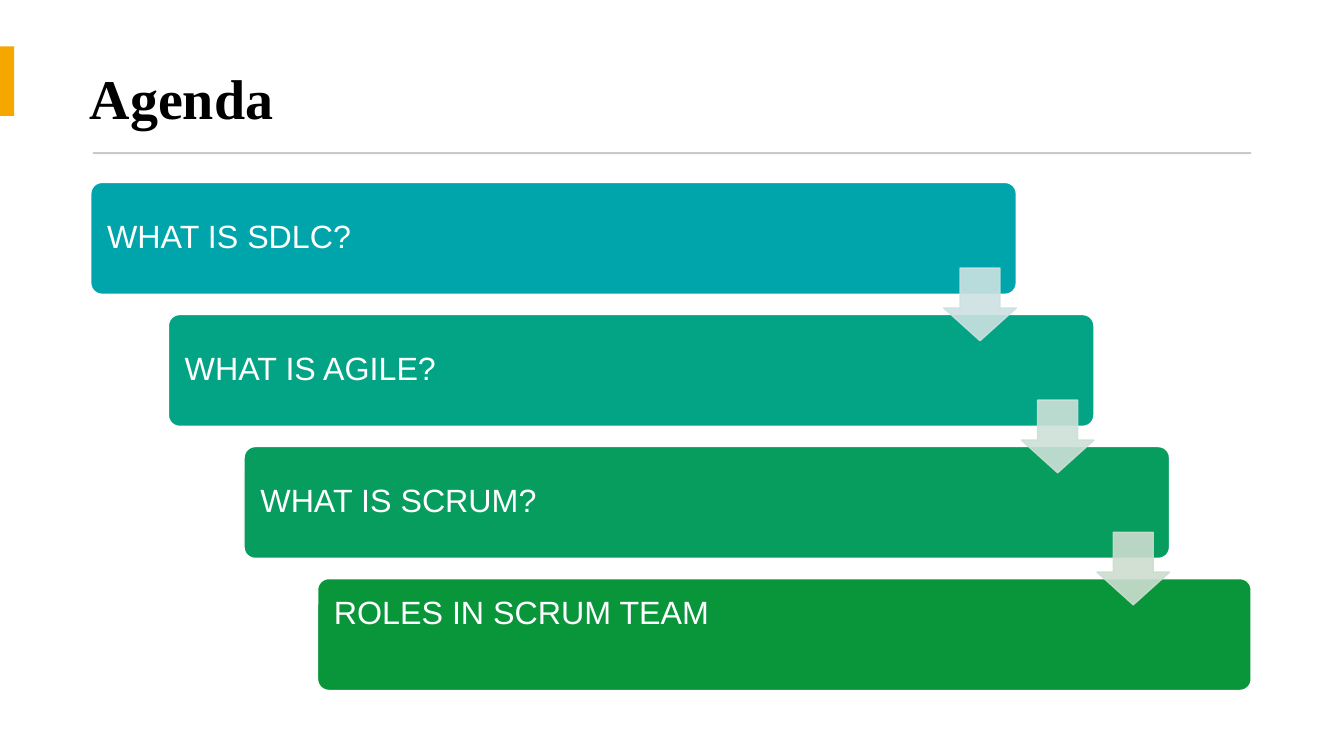
"""Build the Agenda slide: four stepped bars joined by down arrows."""
from dataclasses import dataclass

import lxml.etree
import pptx
import pptx.dml.color
import pptx.enum.shapes
import pptx.enum.text
import pptx.oxml.ns
import pptx.util

RGBColor = pptx.dml.color.RGBColor
Shapes = pptx.enum.shapes.MSO_SHAPE
Anchor = pptx.enum.text.MSO_ANCHOR
Align = pptx.enum.text.PP_ALIGN

EMU_PER_PX = 9144
WHITE = RGBColor(0xFF, 0xFF, 0xFF)
BLACK = RGBColor(0x00, 0x00, 0x00)
AMBER = RGBColor(0xF5, 0xA7, 0x00)
RULE_GREY = RGBColor(0xC9, 0xC9, 0xC9)
TEAL = RGBColor(0x00, 0xA5, 0xAB)
SEA_GREEN = RGBColor(0x03, 0xA4, 0x85)
EMERALD = RGBColor(0x06, 0x9D, 0x5E)
LEAF_GREEN = RGBColor(0x09, 0x96, 0x3B)
PALE_TEAL = RGBColor(0xCC, 0xE1, 0xE2)
PALE_SEA = RGBColor(0xCC, 0xE0, 0xD8)
PALE_LEAF = RGBColor(0xCC, 0xDD, 0xCF)

FIRST_TOP, STEP_PITCH, BAR_HEIGHT = 181, 131, 111
ARROW_SIZE, ARROW_RIGHT, ARROW_DOWN = 72, 846, 85


@dataclass(frozen=True)
class Step:
    label: str
    left: int
    width: int
    fill: RGBColor
    arrow: RGBColor | None = None
    anchor: Anchor = Anchor.MIDDLE


STEPS = [
    Step("WHAT IS SDLC?", 90, 918, TEAL, PALE_TEAL),
    Step("WHAT IS AGILE?", 167, 918, SEA_GREEN, PALE_SEA),
    Step("WHAT IS SCRUM?", 242, 918, EMERALD, PALE_LEAF),
    Step("ROLES IN SCRUM TEAM", 315, 926, LEAF_GREEN, anchor=Anchor.TOP),
]


def px(length: int) -> pptx.util.Emu:
    return pptx.util.Emu(length * EMU_PER_PX)


def add_block(page, kind: Shapes, left: int, top: int, width: int, height: int,
              fill: RGBColor, line: RGBColor | None = None):
    block = page.shapes.add_shape(kind, px(left), px(top), px(width), px(height))
    block.shadow.inherit = False
    block.fill.solid()
    block.fill.fore_color.rgb = fill
    if line is None:
        block.line.fill.background()
    else:
        block.line.color.rgb = line
        block.line.width = pptx.util.Pt(1)
    return block


def write_line(shape, text: str, font_name: str, size: int, color: RGBColor,
               bold: bool = False) -> None:
    para = shape.text_frame.paragraphs[0]
    para.text = text
    para.alignment = Align.LEFT
    para.line_spacing = 0.9
    para.font.name = font_name
    para.font.size = pptx.util.Pt(size)
    para.font.bold = bold
    para.font.color.rgb = color


def add_title(page) -> None:
    title = page.shapes.title
    title.left, title.top, title.width, title.height = map(px, (79, 46, 1149, 110))
    title.text_frame.vertical_anchor = Anchor.MIDDLE
    write_line(title, "Agenda", "Times New Roman", 40, BLACK, bold=True)


def add_bar(page, step: Step, top: int) -> None:
    bar = add_block(page, Shapes.ROUNDED_RECTANGLE, step.left, top, step.width,
                    BAR_HEIGHT, step.fill, WHITE)
    bar.adjustments[0] = 0.1
    frame = bar.text_frame
    frame.word_wrap = True
    frame.vertical_anchor = step.anchor
    frame.margin_left = frame.margin_right = px(13)
    frame.margin_top = frame.margin_bottom = px(15)
    write_line(bar, step.label, "Arial", 23, WHITE)


def add_arrow(page, step: Step, top: int) -> None:
    arrow = add_block(page, Shapes.DOWN_ARROW, step.left + ARROW_RIGHT, top + ARROW_DOWN,
                      ARROW_SIZE, ARROW_SIZE, step.arrow, step.arrow)
    arrow.adjustments[0] = 0.55
    arrow.adjustments[1] = 0.45
    qn = pptx.oxml.ns.qn
    for color in arrow.element.spPr.iter(qn("a:srgbClr")):
        lxml.etree.SubElement(color, qn("a:alpha"), val="90000")


def main() -> None:
    deck = pptx.Presentation()
    deck.slide_width, deck.slide_height = px(1333), px(750)
    page = deck.slides.add_slide(deck.slide_layouts[5])
    add_title(page)
    add_block(page, Shapes.RECTANGLE, 0, 46, 14, 69, AMBER)
    add_block(page, Shapes.RECTANGLE, 92, 151, 1149, 2, RULE_GREY)
    tops = [FIRST_TOP + index * STEP_PITCH for index in range(len(STEPS))]
    for step, top in zip(STEPS, tops):
        add_bar(page, step, top)
    for step, top in zip(STEPS, tops):
        if step.arrow is not None:
            add_arrow(page, step, top)
    deck.save("out.pptx")


if __name__ == "__main__":
    main()
